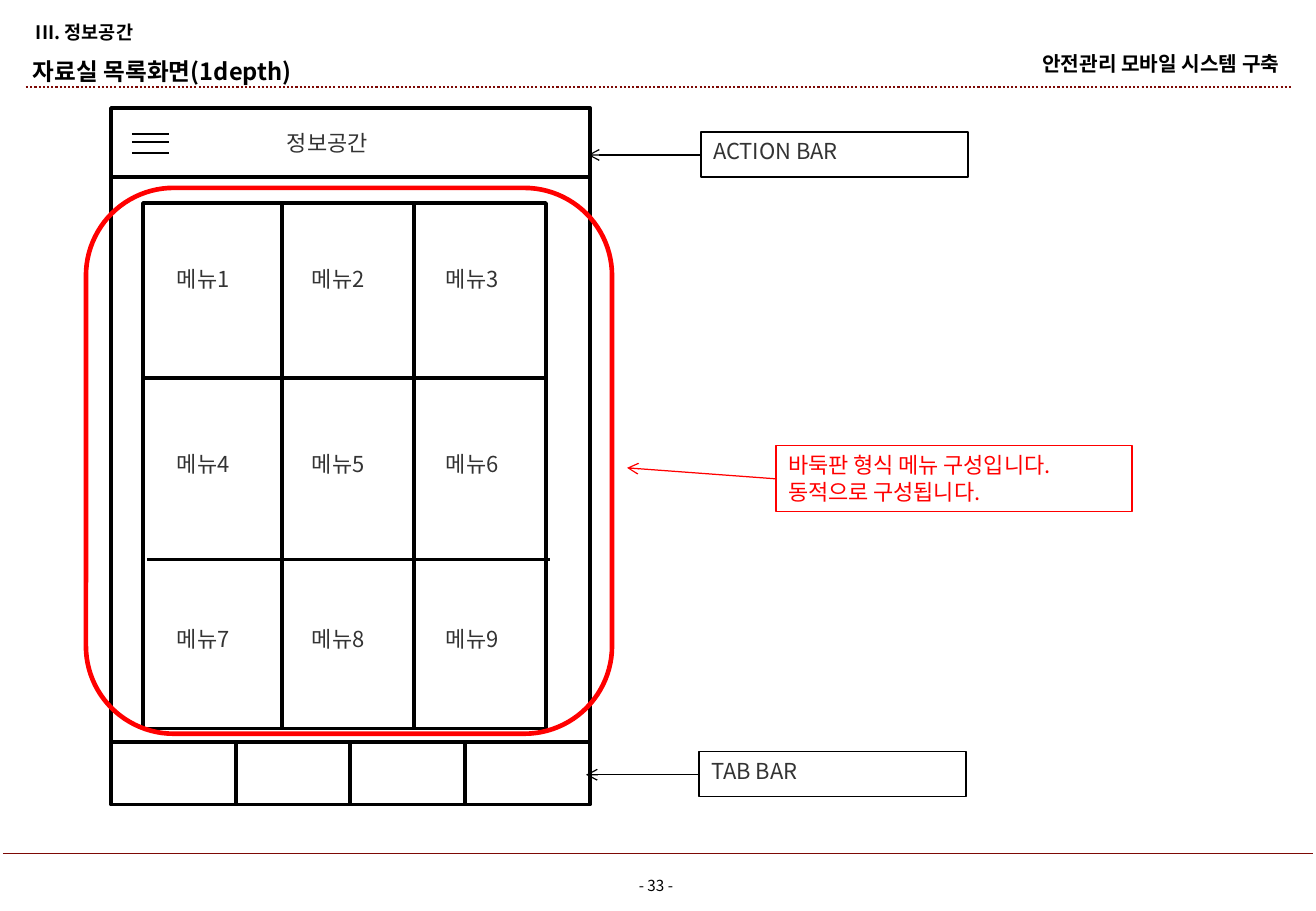
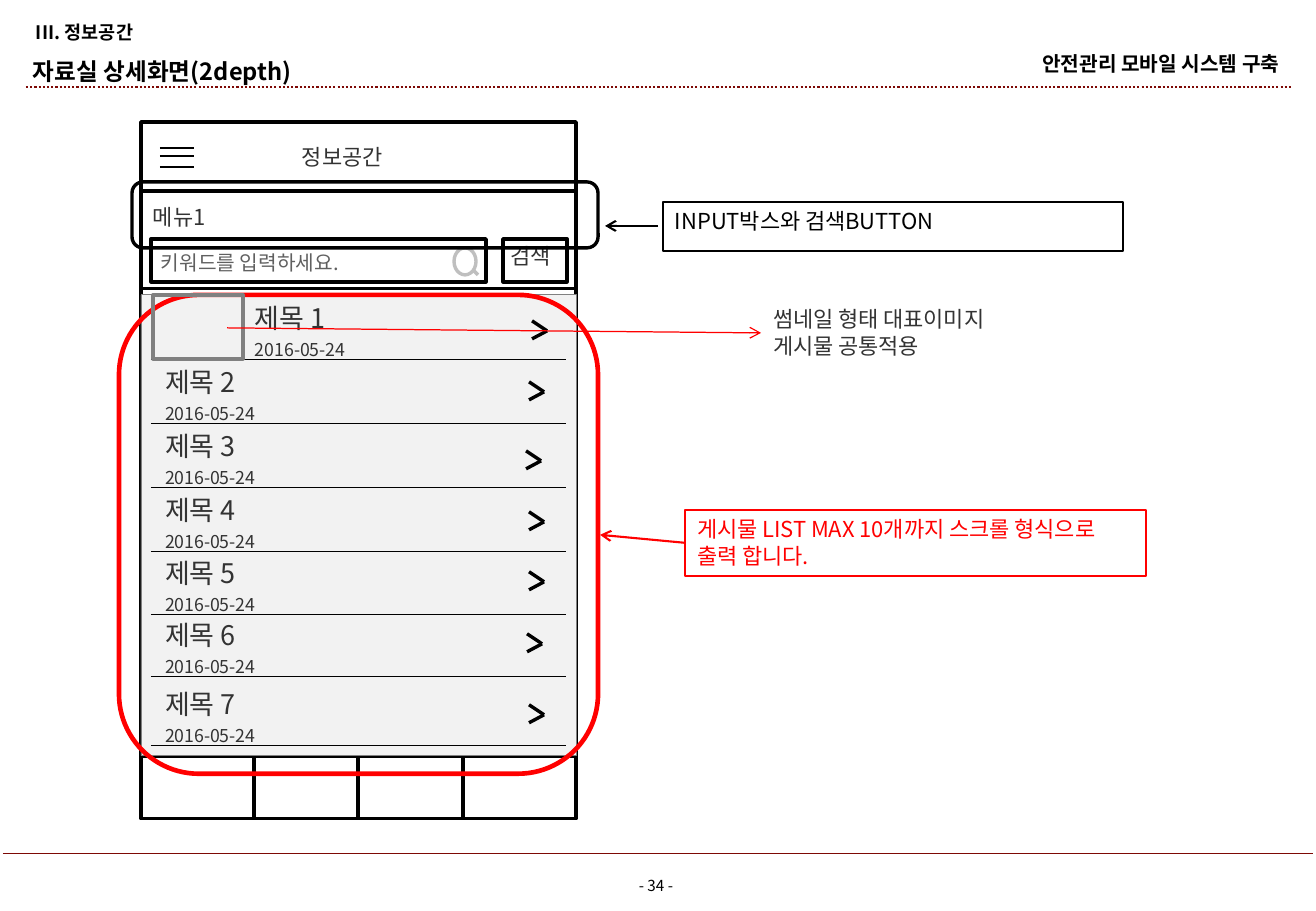
from dataclasses import dataclass

from lxml import etree
from pptx import Presentation, util as u
from pptx.dml.color import RGBColor
from pptx.enum import dml, shapes, text
from pptx.oxml import ns

SCALE = 914400 / 121.5
RECT = shapes.MSO_SHAPE.RECTANGLE
ROUND = shapes.MSO_SHAPE.ROUNDED_RECTANGLE
OVAL = shapes.MSO_SHAPE.OVAL


@dataclass(frozen=True)
class Theme:
    """Colours, font and type sizes shared by the slides."""
    font: str = "Noto Sans CJK KR"
    black: str = "000000"
    white: str = "FFFFFF"
    red: str = "FF0000"
    maroon: str = "7D0905"
    ink: str = "333333"
    hint: str = "606060"
    grey: str = "808080"
    pale: str = "F2F2F2"
    silver: str = "BFBFBF"
    number: float = 9
    date: float = 10.5
    section: float = 11
    small: float = 12
    body: float = 13
    title: float = 14
    item: float = 16
    thin: float = 0.75
    medium: float = 1.25
    thick: float = 2
    marker: float = 2.75


theme = Theme()


def add_box(page, at, words="", kind=None, fill=None, line=None, width=theme.thick,
            size=theme.body, color=theme.ink, bold=False, align=text.PP_ALIGN.LEFT,
            anchor=text.MSO_ANCHOR.TOP, inset=True, spacing=None):
    """Add a text box, or a preset shape if kind is given; at is in pixels."""
    place = [round(length * SCALE) for length in at]
    if kind is None:
        box = page.shapes.add_textbox(*place)
    else:
        box = page.shapes.add_shape(kind, *place)
        box.shadow.inherit = False
        if fill:
            box.fill.solid()
            box.fill.fore_color.rgb = RGBColor.from_string(fill)
        else:
            box.fill.background()
        box.line.color.rgb = RGBColor.from_string(line)
        box.line.width = u.Pt(width)
    if not words:
        return
    frame = box.text_frame
    frame.word_wrap = True
    frame.vertical_anchor = anchor
    if not inset:
        frame.margin_left = frame.margin_right = frame.margin_top = frame.margin_bottom = 0
    for index, sentence in enumerate(words.split("\n")):
        para = frame.add_paragraph() if index else frame.paragraphs[0]
        para.alignment = align
        if spacing:
            para.line_spacing = spacing
        span = para.add_run()
        span.text = sentence
        span.font.size = u.Pt(size)
        span.font.bold = bold
        span.font.color.rgb = RGBColor.from_string(color)
        span.font.name = theme.font
        east = etree.SubElement(span.font._element, ns.qn("a:ea"))
        east.set("typeface", theme.font)


def add_line(page, start, end, color=theme.black, width=theme.thick, dash=None, arrow=False):
    """Add a straight line between two pixel points, with an arrowhead on request."""
    ends = [round(length * SCALE) for length in (*start, *end)]
    line = page.shapes.add_connector(shapes.MSO_CONNECTOR.STRAIGHT, *ends)
    line.line.color.rgb = RGBColor.from_string(color)
    line.line.width = u.Pt(width)
    if dash:
        line.line.dash_style = dash
    if arrow:
        head = etree.SubElement(line.line._get_or_add_ln(), ns.qn("a:tailEnd"))
        head.set("type", "arrow")
    etree.SubElement(line._element.spPr, ns.qn("a:effectLst"))


deck = Presentation()
deck.slide_width = u.Inches(10.83)
deck.slide_height = u.Inches(7.5)

# Page title, number, and left, top and width of the phone
screens = [
    ("자료실 목록화면(1depth)", 33, 111, 108, 479),
    ("자료실 상세화면(2depth)", 34, 141, 122, 435),
]
heading = dict(bold=True, color=theme.black, inset=False, anchor=text.MSO_ANCHOR.MIDDLE)
pages = []
for title, number, left, top, width in screens:
    page = deck.slides.add_slide(deck.slide_layouts[6])
    pages.append(page)
    add_box(page, (617, 871, 81, 30), f"- {number} - ", size=theme.number,
            color=theme.black, align=text.PP_ALIGN.CENTER)
    add_line(page, (3, 854), (1313, 854), theme.maroon, theme.thin)
    add_line(page, (26, 87), (1293, 87), theme.maroon, theme.medium,
             dash=dml.MSO_LINE.ROUND_DOT)
    add_box(page, (883, 49, 401, 29), "안전관리 모바일 시스템 구축 ", size=theme.small,
            align=text.PP_ALIGN.RIGHT, **heading)
    add_box(page, (33, 58, 535, 27), title, size=theme.title, **heading)
    add_box(page, (36, 18, 431, 26), "III. 정보공간 ", size=theme.section, spacing=1.1, **heading)

    # Phone: action bar with menu icon, and tab bar
    add_box(page, (left, top, width, 635), kind=RECT, fill=theme.white, line=theme.black)
    add_line(page, (left, top + 69), (left + width, top + 69))
    for drop in (26, 34, 45):
        add_line(page, (round(left + width * 0.043), top + drop),
                 (round(left + width * 0.121), top + drop), width=1.5)
    add_box(page, (round(left + width * 0.343), top + 16, round(width * 0.6), 45), "정보공간")
    add_box(page, (left, top + 634, width, 63), kind=RECT, line=theme.black)
    for share in (0.26, 0.5, 0.74):
        divider = round(left + width * share)
        add_line(page, (divider, top + 634), (divider, top + 697))

menu_page, list_page = pages

# Menu grid
add_box(menu_page, (143, 203, 403, 526), kind=RECT, fill=theme.white, line=theme.black)
for x in (282, 414):
    add_line(menu_page, (x, 203), (x, 730))
for x, y in ((143, 378), (147, 560)):
    add_line(menu_page, (x, y), (x + 403, y))
for row, y in enumerate((260, 445, 620)):
    for column, x in enumerate((165, 300, 434)):
        add_box(menu_page, (x, y, 106, 53), f"메뉴{row * 3 + column + 1}")
add_box(menu_page, (86, 188, 526, 546), kind=ROUND, line=theme.red, width=theme.marker)

# Menu callouts
for words, x, y in (("ACTION BAR", 701, 132), ("TAB BAR", 699, 752)):
    add_box(menu_page, (x, y, 267, 45), words, kind=RECT, line=theme.black, width=theme.thin)
    add_line(menu_page, (x, y + 23), (x - 113, y + 23), width=theme.thin, arrow=True)
add_box(menu_page, (776, 446, 356, 66), "바둑판 형식 메뉴 구성입니다.\n동적으로 구성됩니다.",
        kind=RECT, line=theme.red, width=theme.thin, color=theme.red)
add_line(menu_page, (776, 479), (627, 468), theme.red, theme.thin, arrow=True)

# Post list: bottom rule of each row, left and top of its chevron
add_box(list_page, (141, 198, 315, 45), "메뉴1")
add_box(list_page, (141, 295, 435, 461), kind=RECT, fill=theme.pale, line=theme.grey, width=0.5)
rows = [(360, 532, 321), (424, 529, 382), (488, 526, 451), (552, 529, 512),
        (615, 529, 572), (677, 527, 634), (746, 529, 705)]
for order, (bottom, x, y) in enumerate(rows, start=1):
    indent = 243 if order == 1 else 153
    add_line(list_page, (151, bottom), (566, bottom), width=theme.thin)
    add_box(list_page, (indent, bottom - 64, 386, 44), f"제목 {order}", size=theme.item)
    add_box(list_page, (indent, bottom - 27, 386, 33), "2016-05-24", size=theme.date)
    for end in (y, y + 18):
        add_line(list_page, (x, end), (x + 15, y + 10))

# Search bar
add_box(list_page, (151, 239, 335, 43), kind=RECT, fill=theme.white, line=theme.black)
add_box(list_page, (149, 244, 245, 36), "키워드를 입력하세요.", size=theme.small, color=theme.hint)
add_box(list_page, (454, 248, 22, 27), kind=OVAL, fill=theme.white, line=theme.silver)
add_line(list_page, (473, 270), (478, 275), theme.silver)
add_box(list_page, (503, 239, 64, 43), kind=RECT, line=theme.black)
add_box(list_page, (498, 237, 143, 45), "검색")
add_line(list_page, (141, 289), (576, 289), width=1.75)

# List callouts
add_box(list_page, (119, 295, 479, 479), kind=ROUND, line=theme.red, width=theme.marker)
add_box(list_page, (132, 182, 466, 66), kind=ROUND, line=theme.black)
add_box(list_page, (663, 202, 460, 49), "INPUT박스와 검색BUTTON ", kind=RECT,
        line=theme.black, width=theme.medium, color=theme.black)
add_line(list_page, (658, 226), (605, 226), width=theme.medium, arrow=True)
add_box(list_page, (685, 510, 461, 66), "게시물 LIST MAX 10개까지 스크롤 형식으로 출력 합니다. ",
        kind=RECT, line=theme.red, width=theme.medium, color=theme.red)
add_line(list_page, (685, 543), (600, 535), theme.red, theme.medium, arrow=True)
add_box(list_page, (153, 295, 90, 64), kind=RECT, line=theme.grey)
add_line(list_page, (227, 328), (761, 333), theme.red, theme.thin, arrow=True)
add_box(list_page, (761, 300, 281, 66), "썸네일 형태 대표이미지 게시물 공통적용")

deck.save("out.pptx")
